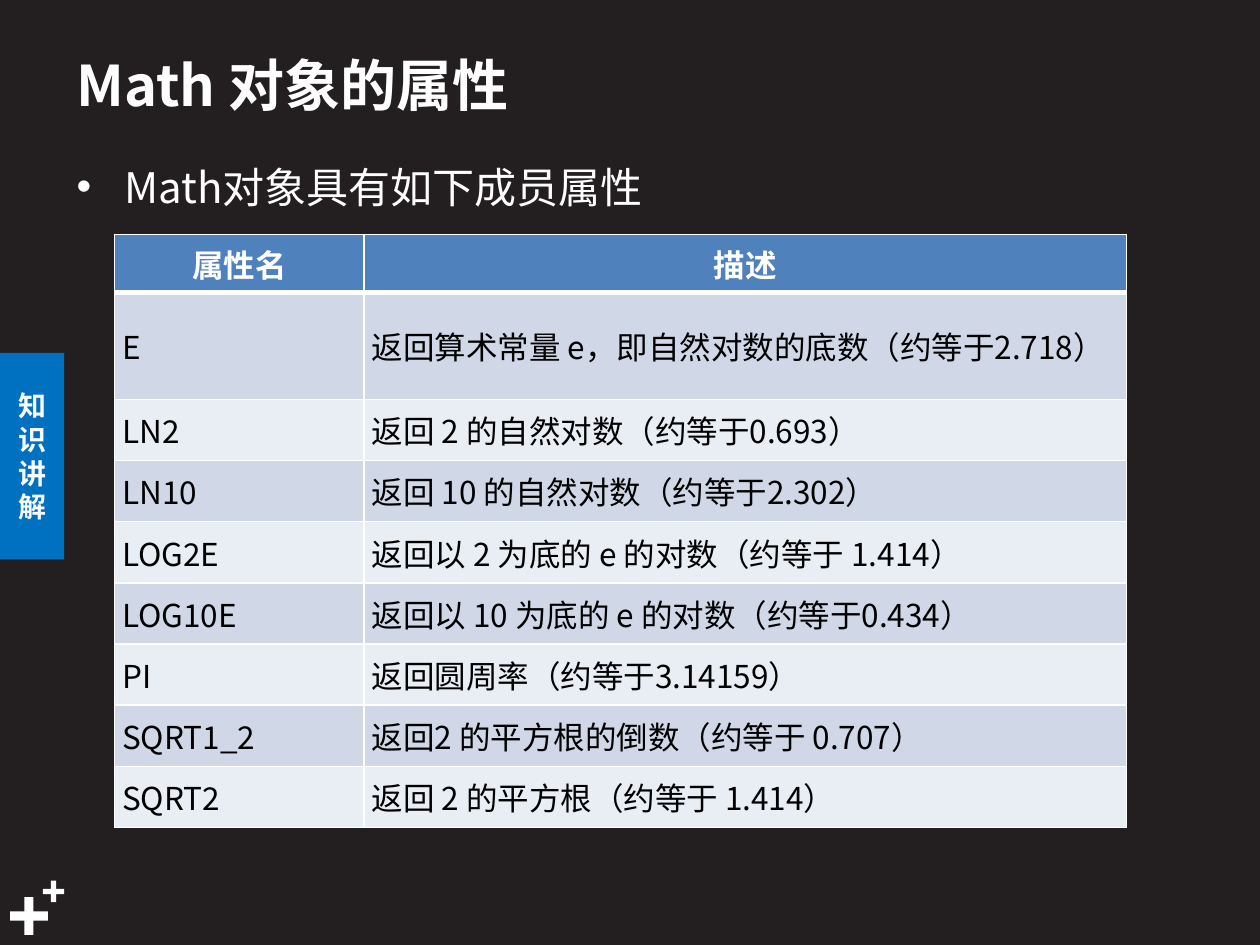
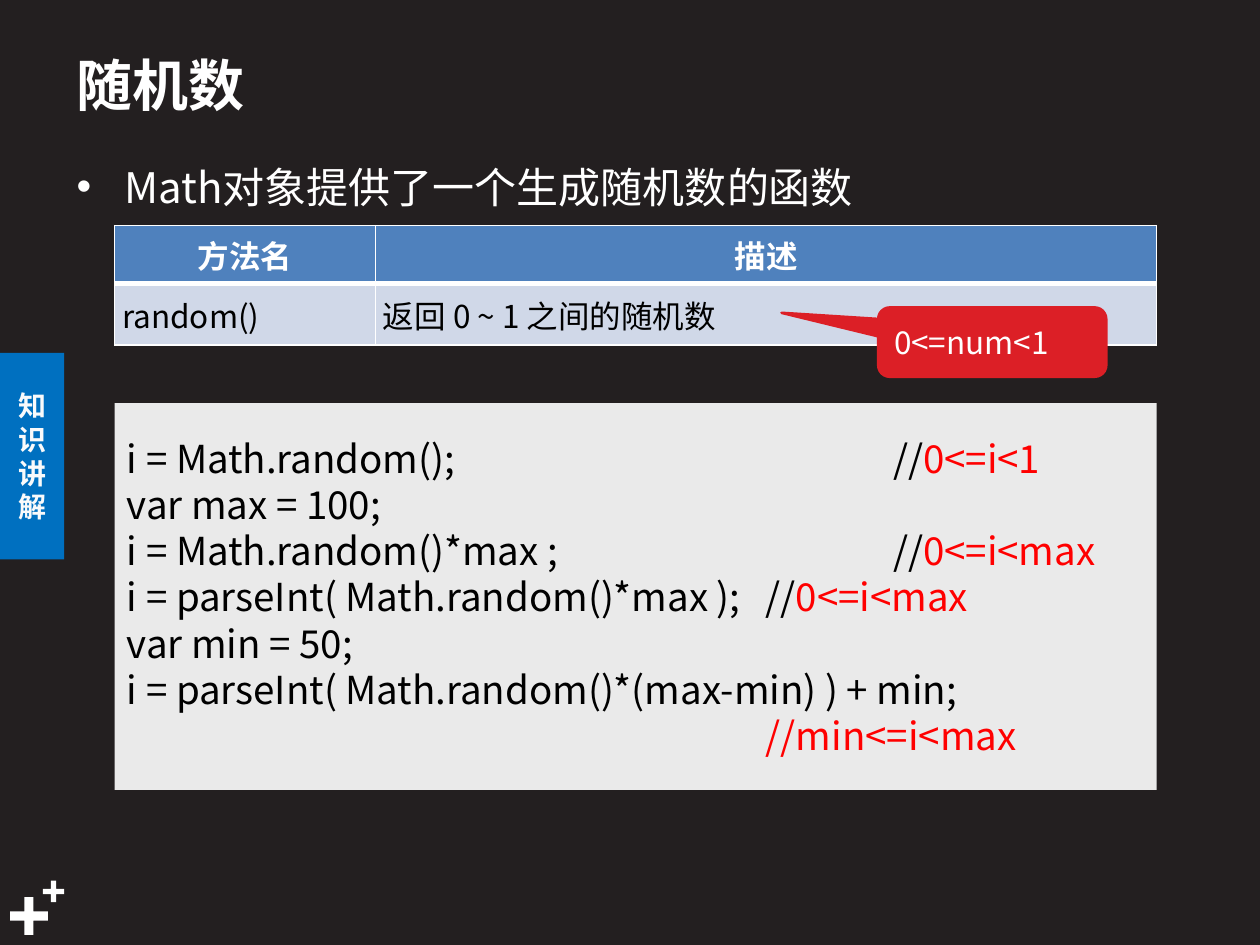
from lxml import etree
from pptx import Presentation
from pptx.dml.color import RGBColor
from pptx.enum.shapes import MSO_SHAPE
from pptx.enum.text import MSO_ANCHOR, PP_ALIGN
from pptx.oxml.ns import qn
from pptx.util import Inches, Pt

RECTANGLE = MSO_SHAPE.RECTANGLE
PLUS = MSO_SHAPE.CROSS
CALLOUT = MSO_SHAPE.ROUNDED_RECTANGULAR_CALLOUT
MIDDLE, TOP = MSO_ANCHOR.MIDDLE, MSO_ANCHOR.TOP
LEFT, CENTER = PP_ALIGN.LEFT, PP_ALIGN.CENTER

FONT = "Noto Sans CJK SC"
COLORS = {
    "background": "231F20", "white": "FFFFFF", "black": "000000",
    "tab": "0070C0", "tab_text": "F9FAFB",
    "header": "4F81BD", "band_dark": "D0D8E8", "band_light": "E9EDF4",
    "code": "EAEAEA", "comment": "FF0000", "callout": "DC1F26",
}
CONTENT_LEFT = 0.91
HEADER_HEIGHT = 0.46


def rgb(name):
    """Return the named colour."""
    return RGBColor.from_string(COLORS[name])


def add_run(paragraph, text, size, color="white", bold=False):
    """Append one formatted run, for Latin and Chinese text alike."""
    run = paragraph.add_run()
    run.text = text
    run.font.size = Pt(size)
    run.font.bold = bold
    run.font.color.rgb = rgb(color)
    run.font.name = FONT
    east_asian = etree.SubElement(run._r.get_or_add_rPr(), qn("a:ea"))
    east_asian.set("typeface", FONT)


def add_box(shapes, kind, box, fill):
    """Add a flat filled shape whose text is left aligned and centred in height."""
    shape = shapes.add_shape(kind, *[Inches(length) for length in box])
    shape.shadow.inherit = False
    shape.fill.solid()
    shape.fill.fore_color.rgb = rgb(fill)
    shape.line.fill.background()
    shape.text_frame.word_wrap = True
    shape.text_frame.vertical_anchor = MIDDLE
    shape.text_frame.paragraphs[0].alignment = LEFT
    return shape


def add_textbox(slide, box, anchor):
    """Add a wrapping text box and return its first paragraph."""
    shape = slide.shapes.add_textbox(*[Inches(length) for length in box])
    shape.text_frame.word_wrap = True
    shape.text_frame.vertical_anchor = anchor
    return shape.text_frame.paragraphs[0]


def add_plus_signs(slide, left, top):
    """Draw the large and the small plus sign of the corner."""
    group = slide.shapes.add_group_shape()
    for dx, dy, size in ((0, 0.13, 0.3), (0.26, 0, 0.17)):
        plus = add_box(group.shapes, PLUS, (left + dx, top + dy, size, size), "white")
        plus.adjustments[0] = 0.378


def add_side_tab(slide, box):
    """Draw the section tab, narrow enough to stack its characters."""
    tab = add_box(slide.shapes, RECTANGLE, box, "tab")
    paragraph = tab.text_frame.paragraphs[0]
    paragraph.alignment = CENTER
    add_run(paragraph, "知识讲解", 16, "tab_text", True)


def add_bullet(slide, box, text):
    """Write the bulleted lead sentence."""
    paragraph = add_textbox(slide, box, TOP)
    paragraph.line_spacing = 1.2
    paragraph.space_before = Pt(4.8)
    properties = paragraph._p.get_or_add_pPr()
    properties.set("marL", str(Inches(0.38)))
    properties.set("indent", str(-Inches(0.38)))
    etree.SubElement(properties, qn("a:buFont")).set("typeface", "Arial")
    etree.SubElement(properties, qn("a:buChar")).set("char", "•")
    add_run(paragraph, text, 24)


def add_base_slide(presentation, title, lead):
    """Add a slide with background, corner, tab, title and lead sentence."""
    slide = presentation.slides.add_slide(presentation.slide_layouts[6])
    slide.background.fill.solid()
    slide.background.fill.fore_color.rgb = rgb("background")
    add_plus_signs(slide, 0.08, 6.99)
    add_side_tab(slide, (0, 2.8, 0.51, 1.64))
    add_run(add_textbox(slide, (0.51, 0.28, 7.4, 0.78), MIDDLE), title, 32, bold=True)
    add_bullet(slide, (0.51, 1.15, 8.82, 0.59), lead)
    return slide


def set_borders(cell, top, bottom):
    """Give a cell white borders; top and bottom are widths in points."""
    properties = cell._tc.get_or_add_tcPr()
    for tag, width in (("lnL", 1), ("lnR", 1), ("lnT", top), ("lnB", bottom)):
        line = etree.SubElement(properties, qn("a:" + tag), w=str(Pt(width)))
        fill = etree.SubElement(line, qn("a:solidFill"))
        etree.SubElement(fill, qn("a:srgbClr"), val=COLORS["white"])


def add_member_table(slide, left, top, widths, heights, rows):
    """Draw a banded table with a heavy rule under its header."""
    table = slide.shapes.add_table(
        len(rows), len(widths), Inches(left), Inches(top),
        Inches(sum(widths)), Inches(sum(heights))).table
    for column, width in zip(table.columns, widths):
        column.width = Inches(width)
    for index, (row, height, texts) in enumerate(zip(table.rows, heights, rows)):
        row.height = Inches(height)
        is_header = index == 0
        band = "band_dark" if index % 2 else "band_light"
        for cell, text in zip(row.cells, texts):
            set_borders(cell, 3 if index == 1 else 1, 3 if is_header else 1)
            cell.fill.solid()
            cell.fill.fore_color.rgb = rgb("header" if is_header else band)
            paragraph = cell.text_frame.paragraphs[0]
            if is_header:
                paragraph.alignment = CENTER
                add_run(paragraph, text, 18, bold=True)
            else:
                cell.vertical_anchor = MIDDLE
                cell.margin_left = cell.margin_top = cell.margin_bottom = Inches(0.06)
                cell.margin_right = Inches(0.16)
                add_run(paragraph, text, 18, "black")


def add_code_panel(slide, box, lines):
    """Draw a code panel; a line is (code, slashes, comment, tab stop)."""
    frame = add_box(slide.shapes, RECTANGLE, box, "code").text_frame
    for index, (code, slashes, comment, stop) in enumerate(lines):
        paragraph = frame.add_paragraph() if index else frame.paragraphs[0]
        paragraph.alignment = LEFT
        if stop:
            tabs = etree.SubElement(paragraph._p.get_or_add_pPr(), qn("a:tabLst"))
            etree.SubElement(tabs, qn("a:tab"), pos=str(Inches(stop)), algn="l")
            code += "\t" + slashes
        add_run(paragraph, code, 22, "black")
        if comment:
            add_run(paragraph, comment, 22, "comment")


def add_callout(slide, box, text):
    """Draw a red callout that points to its upper left."""
    callout = add_box(slide.shapes, CALLOUT, box, "callout")
    callout.line.color.rgb = rgb("callout")
    callout.line.width = Pt(1.5)
    for index, value in enumerate((-0.924, -0.422, 0.167)):
        callout.adjustments[index] = value
    add_run(callout.text_frame.paragraphs[0], text, 18)


def build_properties_slide(presentation):
    """Build the slide on the properties of Math."""
    slide = add_base_slide(presentation, "Math 对象的属性", "Math对象具有如下成员属性")
    rows = [
        ("属性名", "描述"),
        ("E", "返回算术常量 e，即自然对数的底数（约等于2.718）"),
        ("LN2", "返回 2 的自然对数（约等于0.693）"),
        ("LN10", "返回 10 的自然对数（约等于2.302）"),
        ("LOG2E", "返回以 2 为底的 e 的对数（约等于 1.414）"),
        ("LOG10E", "返回以 10 为底的 e 的对数（约等于0.434）"),
        ("PI", "返回圆周率（约等于3.14159）"),
        ("SQRT1_2", "返回2 的平方根的倒数（约等于 0.707）"),
        ("SQRT2", "返回 2 的平方根（约等于 1.414）"),
    ]
    table_height, two_line_height = 4.71, 0.85
    single_count = len(rows) - 2
    single_height = (table_height - HEADER_HEIGHT - two_line_height) / single_count
    heights = [HEADER_HEIGHT, two_line_height] + [single_height] * single_count
    add_member_table(slide, CONTENT_LEFT, 1.86, (1.98, 6.05), heights, rows)


def build_random_slide(presentation):
    """Build the slide on random numbers."""
    slide = add_base_slide(presentation, "随机数", "Math对象提供了一个生成随机数的函数")
    add_member_table(slide, CONTENT_LEFT, 1.79, (2.07, 6.2), (HEADER_HEIGHT, 0.49), [
        ("方法名", "描述"),
        ("random()", "返回 0 ~ 1 之间的随机数"),
    ])
    near, far = 5.07, 6.08
    add_code_panel(slide, (CONTENT_LEFT, 3.2, 8.27, 3.07), [
        ("i = Math.random();", "//", "0<=i<1", far),
        ("var max = 100;", "", "", None),
        ("i = Math.random()*max ;", "//", "0<=i<max", far),
        ("i = parseInt( Math.random()*max );", "//", "0<=i<max", near),
        ("var min = 50;", "", "", None),
        ("i = parseInt( Math.random()*(max-min) ) + min;", "", "", None),
        ("", "", "//min<=i<max", near),
    ])
    add_callout(slide, (6.97, 2.44, 1.81, 0.55), "0<=num<1")


def main():
    """Build and save the presentation."""
    presentation = Presentation()
    presentation.slide_width = Inches(10)
    presentation.slide_height = Inches(7.5)
    build_properties_slide(presentation)
    build_random_slide(presentation)
    presentation.save("out.pptx")


main()
